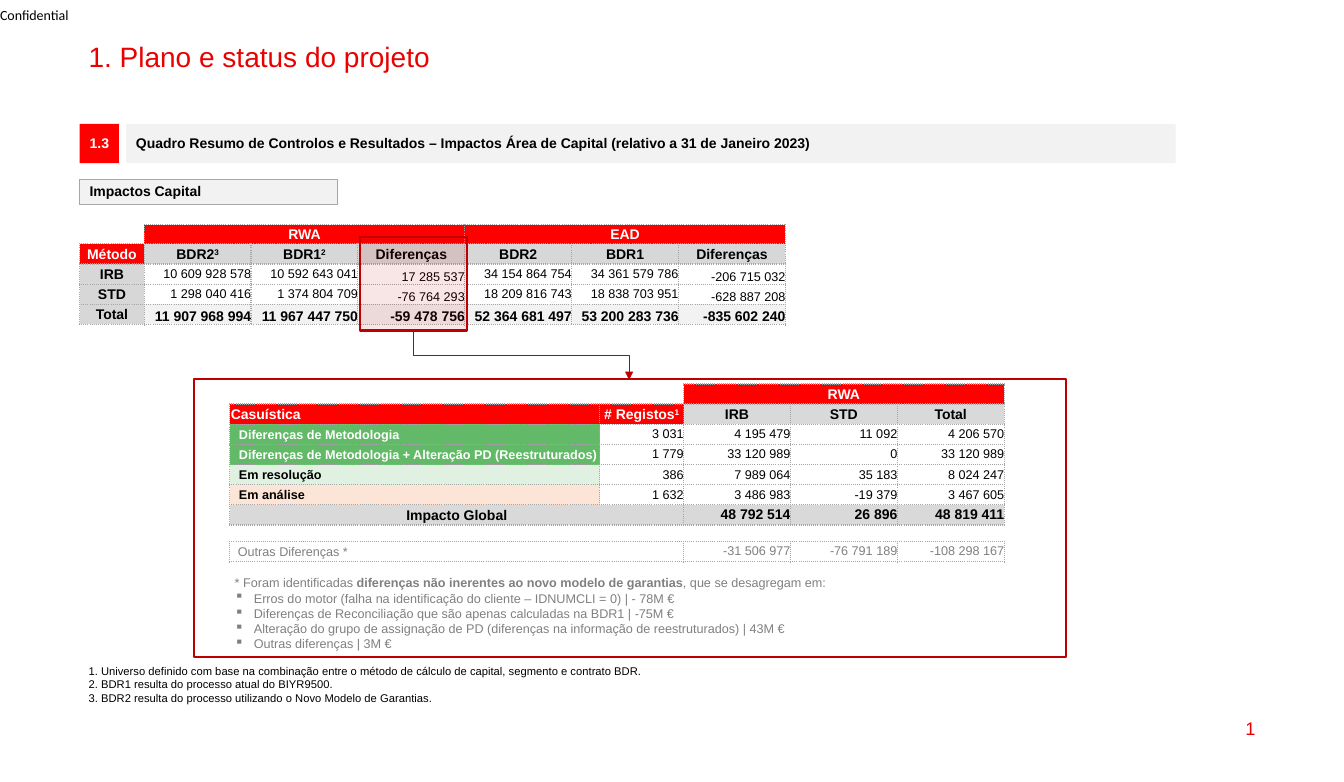
from lxml import etree
from pptx import Presentation
from pptx.dml.color import RGBColor
from pptx.enum.shapes import MSO_CONNECTOR as Connector, MSO_SHAPE as Shape
from pptx.enum.text import MSO_ANCHOR as Anchor, PP_ALIGN as Align
from pptx.oxml.ns import qn
from pptx.util import Inches, Pt

COLORS = {
    "title": "EB0000", "red": "FF0000", "dark_red": "C00000", "white": "FFFFFF",
    "black": "000000", "pale": "F2F2F2", "line": "A6A6A6", "gray": "808080",
    "label": "D7D7D7", "total": "D9D9D9", "green": "62B967", "mint": "E0F1E1",
    "peach": "FCE4D6",
}
NO_STYLE = "{2D5ABB26-0587-4C30-8999-92F81FD0307C}"

# Cell kinds: fill, text colour, size, bold, alignment, anchor, left inset
L, C, R = Align.LEFT, Align.CENTER, Align.RIGHT
MID, LOW = Anchor.MIDDLE, Anchor.BOTTOM
KINDS = {
    "empty": (None, "black", 1, False, L, MID, 0),
    "header": ("red", "white", 10, True, C, MID, 0.01),
    "header_left": ("red", "white", 10, True, L, MID, 0.01),
    "label": ("label", "black", 10, True, C, MID, 0.01),
    "subhead": ("total", "black", 10, True, C, MID, 0.01),
    "value": ("white", "black", 9, False, R, MID, 0),
    "low": ("white", "black", 9, False, R, LOW, 0),
    "sum": ("pale", "black", 10, True, R, LOW, 0),
    "plain": (None, "black", 9, False, R, MID, 0),
    "method": ("green", "white", 9, True, L, MID, 0.09),
    "solving": ("mint", "black", 9, True, L, MID, 0.09),
    "analysis": ("peach", "black", 9, True, L, MID, 0.09),
    "impact": ("total", "black", 10, True, R, MID, 0),
    "other": (None, "gray", 9, False, L, MID, 0.08),
    "other_value": (None, "gray", 9, False, R, MID, 0),
}
ALL_EDGES = "LRTB"

# Rows: cell kinds, texts. None continues the cell on its left, ^ starts a superscript.
VALUES = ["value", "value", "low"] * 2
CAPITAL = {
    "at": (0.79, 2.23), "cols": [0.64] + [1.06] * 6, "heights": [0.19] + [0.2] * 4,
    "edges": {(0, 0): "B"},
    "rows": [
        (["empty"] + ["header"] * 6, ["", "RWA", None, None, "EAD", None, None]),
        (["header"] + ["label"] * 6,
         ["Método", "BDR2^3", "BDR1^2", "Diferenças", "BDR2", "BDR1", "Diferenças"]),
        (["label"] + VALUES, ["IRB", "10 609 928 578", "10 592 643 041", "17 285 537",
                              "34 154 864 754", "34 361 579 786", "-206 715 032"]),
        (["label"] + VALUES, ["STD", "1 298 040 416", "1 374 804 709", "-76 764 293",
                              "18 209 816 743", "18 838 703 951", "-628 887 208"]),
        (["label"] + ["sum"] * 6, ["Total", "11 907 968 994", "11 967 447 750", "-59 478 756",
                                   "52 364 681 497", "53 200 283 736", "-835 602 240"]),
    ],
}
PLAIN = ["plain"] * 4
CASES = {
    "at": (2.28, 3.81), "cols": [3.67, 0.83] + [1.06] * 3,
    "heights": [0.2] * 7 + [0.16, 0.2],
    "edges": {(0, 0): "B", (0, 1): "RB", **{(7, c): "TB" for c in range(5)}},
    "rows": [
        (["empty"] * 2 + ["header"] * 3, ["", "", "RWA", None, None]),
        (["header_left", "header"] + ["subhead"] * 3,
         ["Casuística", "# Registos^1", "IRB", "STD", "Total"]),
        (["method"] + PLAIN,
         ["Diferenças de Metodologia", "3 031", "4 195 479", "11 092", "4 206 570"]),
        (["method"] + PLAIN, ["Diferenças de Metodologia + Alteração PD (Reestruturados)",
                              "1 779", "33 120 989", "0", "33 120 989"]),
        (["solving"] + PLAIN, ["Em resolução", "386", "7 989 064", "35 183", "8 024 247"]),
        (["analysis"] + PLAIN, ["Em análise", "1 632", "3 486 983", "-19 379", "3 467 605"]),
        (["subhead"] * 2 + ["impact"] * 3,
         ["Impacto Global", None, "48 792 514", "26 896", "48 819 411"]),
        (["empty"] * 5, ["", None, None, None, None]),
        (["other"] * 2 + ["other_value"] * 3,
         ["Outras Diferenças *", None, "-31 506 977", "-76 791 189", "-108 298 167"]),
    ],
}
NOTE_LEAD = [("* Foram identificadas ", False),
             ("diferenças não inerentes ao novo modelo de garantias", True),
             (", que se desagregam em:", False)]
NOTE_ITEMS = [
    "Erros do motor (falha na identificação do cliente – IDNUMCLI = 0) | - 78M €",
    "Diferenças de Reconciliação que são apenas calculadas na BDR1 | -75M €",
    "Alteração do grupo de assignação de PD (diferenças na informação de reestruturados) | 43M €",
    "Outras diferenças | 3M €",
]
FOOTNOTES = [
    "1. Universo definido com base na combinação entre o método de cálculo de capital, "
    "segmento e contrato BDR.",
    "2. BDR1 resulta do processo atual do BIYR9500.",
    "3. BDR2 resulta do processo utilizando o Novo Modelo de Garantias.",
]


def rgb(name):
    return RGBColor.from_string(COLORS[name])


def add_run(p, text, size, color="black", bold=False, name="Arial"):
    r = p.add_run()
    r.text = text
    for key, value in {"size": Pt(size), "bold": bold, "name": name}.items():
        setattr(r.font, key, value)
    r.font.color.rgb = rgb(color)
    return r


def write(sp, lines, size, color="black", bold=False, name="Arial", align=L,
          anchor=Anchor.TOP, spacing=None, inset=None):
    """Fill a shape with paragraphs; a line is a string or a list of (text, bold)."""
    tf = sp.text_frame
    tf.word_wrap, tf.vertical_anchor = True, anchor
    if inset is not None:
        tf.margin_left = tf.margin_right = tf.margin_top = tf.margin_bottom = Inches(inset)
    for i, line in enumerate(lines):
        p = tf.add_paragraph() if i else tf.paragraphs[0]
        p.alignment, p.line_spacing = align, spacing
        for text, strong in [(line, bold)] if isinstance(line, str) else line:
            add_run(p, text, size, color, strong, name)
    return tf


def add_text(box, lines, size, **fmt):
    return write(slide.shapes.add_textbox(*map(Inches, box)), lines, size, **fmt)


def add_rect(box, fill=None, line=None, width=0.75):
    sp = slide.shapes.add_shape(Shape.RECTANGLE, *map(Inches, box))
    sp.shadow.inherit = False
    for part, color in ((sp.fill, fill), (sp.line.fill, line)):
        if color:
            part.solid()
            part.fore_color.rgb = rgb(color)
        else:
            part.background()
    if line:
        sp.line.width = Pt(width)
    return sp


def add_edges(cell, edges):
    tc_pr = cell._tc.get_or_add_tcPr()
    for edge in edges:
        ln = etree.SubElement(tc_pr, qn(f"a:ln{edge}"), w=str(Pt(1)))
        fill = etree.SubElement(ln, qn("a:solidFill"))
        etree.SubElement(fill, qn("a:srgbClr"), val=COLORS["line"])
        etree.SubElement(ln, qn("a:prstDash"), val="sysDot")


def fill_cell(cell, kind, text, edges):
    fill, color, size, bold, align, anchor, left = KINDS[kind]
    add_edges(cell, edges)
    if fill:
        cell.fill.solid()
        cell.fill.fore_color.rgb = rgb(fill)
    else:
        cell.fill.background()
    top = 0.01 if left else 0
    for side, inset in {"left": left, "top": top, "right": top, "bottom": 0}.items():
        setattr(cell, f"margin_{side}", Inches(inset))
    cell.vertical_anchor = anchor
    p = cell.text_frame.paragraphs[0]
    p.alignment = align
    if not text:
        etree.SubElement(p._p, qn("a:endParaRPr"), sz="100")
        return
    base, _, raised = text.partition("^")
    add_run(p, base, size, color, bold)
    if raised:
        add_run(p, raised, size, color, bold).font._element.set("baseline", "30000")


def add_grid(data):
    cols, heights, rows = data["cols"], data["heights"], data["rows"]
    box = (*data["at"], sum(cols), sum(heights))
    table = slide.shapes.add_table(len(rows), len(cols), *map(Inches, box)).table
    table.first_row = table.horz_banding = False
    table._tbl.tblPr.find(qn("a:tableStyleId")).text = NO_STYLE
    for col, width in zip(table.columns, cols):
        col.width = Inches(width)
    for i, (kinds, texts) in enumerate(rows):
        table.rows[i].height = Inches(heights[i])
        for j, (kind, text) in enumerate(zip(kinds, texts)):
            fill_cell(table.cell(i, j), kind, text, data["edges"].get((i, j), ALL_EDGES))
        for j, text in enumerate(texts):
            end = j
            while text is not None and end + 1 < len(texts) and texts[end + 1] is None:
                end += 1
            if end > j:
                table.cell(i, j).merge(table.cell(i, end))


prs = Presentation()
prs.slide_width, prs.slide_height = Inches(13.33), Inches(7.76)
slide = prs.slides.add_slide(prs.slide_layouts[6])

add_text((0, 0, 0.99, 0.29), ["Confidential"], 10, name="Calibri", anchor=MID, inset=0)
add_rect((1.92, 3.76, 8.65, 2.76), line="dark_red", width=1.5)
add_text((0.78, 0.38, 11.77, 0.34), ["1. Plano e status do projeto"], 20,
         color="title", spacing=0.9)
add_text((9.55, 7.02, 3, 0.41), ["1"], 13, color="title", align=R, anchor=MID)

heading = {"size": 10, "bold": True, "anchor": MID, "spacing": 0.9}
write(add_rect((0.79, 1.23, 0.39, 0.39), "red"), ["1.3"], color="white", align=C, **heading
      ).word_wrap = False
write(add_rect((1.25, 1.23, 10.41, 0.39), "pale"),
      ["Quadro Resumo de Controlos e Resultados – Impactos Área de Capital "
       "(relativo a 31 de Janeiro 2023)"], **heading)
write(add_rect((0.79, 1.78, 2.56, 0.25), "pale", "line"), ["Impactos Capital"], **heading)

add_grid(CASES)
note = add_text((2.23, 5.66, 6.26, 0.86), [NOTE_LEAD, *NOTE_ITEMS], 9, color="gray")
for p in note.paragraphs[1:]:
    p_pr = p._p.get_or_add_pPr()
    p_pr.set("marL", str(Inches(0.19)))
    p_pr.set("indent", str(-Inches(0.19)))
    etree.SubElement(p_pr, qn("a:buChar"), char="▪")
add_grid(CAPITAL)
add_text((0.78, 6.54, 5.79, 0.5), FOOTNOTES, 8)

highlight = add_rect((3.57, 2.35, 1.06, 0.93), "dark_red", "dark_red", 1.5)
tint = highlight._element.spPr.find(qn("a:solidFill"))[0]
etree.SubElement(tint, qn("a:alpha"), val="10000")

# The elbow leaves downwards: its frame is turned by 270 degrees and mirrored.
left, top, width, height = 4.93, 2.46, 0.48, 2.14
arrow = slide.shapes.add_connector(
    Connector.ELBOW, *map(Inches, (left, top, left + width, top + height)))
for key, value in {"rot": "16200000", "flipH": "1"}.items():
    arrow._element.spPr.find(qn("a:xfrm")).set(key, value)
arrow.line.color.rgb = rgb("dark_red")
arrow.line.width = Pt(0.5)
etree.SubElement(arrow.line._get_or_add_ln(), qn("a:tailEnd"), type="triangle")
etree.SubElement(arrow._element.spPr, qn("a:effectLst"))

prs.save("out.pptx")
